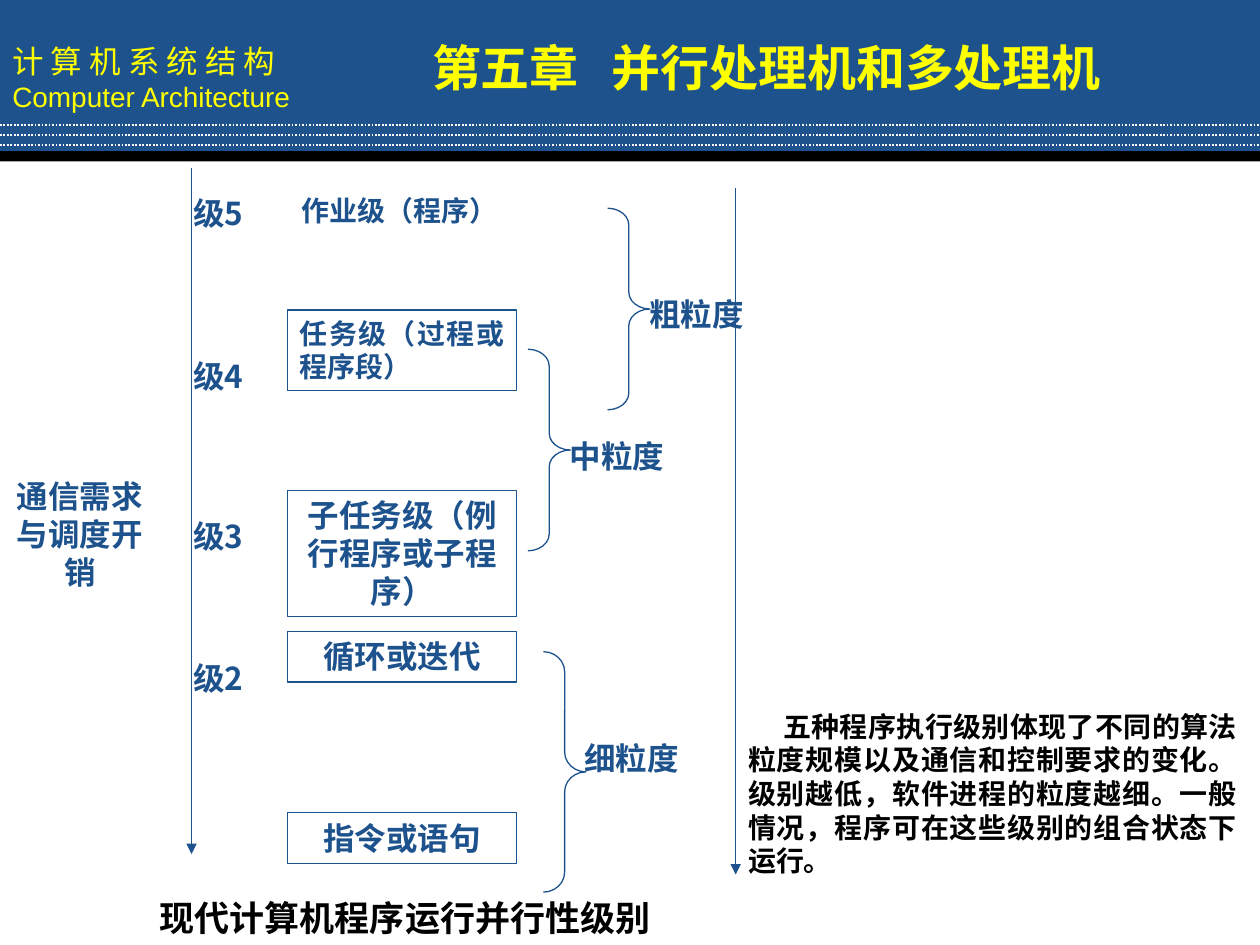
from dataclasses import dataclass

from lxml.etree import SubElement
from pptx import Presentation
from pptx.dml.color import RGBColor as Color
from pptx.enum.dml import MSO_LINE as Dash
from pptx.enum.shapes import MSO_CONNECTOR as Connector, MSO_SHAPE as Shape
from pptx.enum.text import MSO_ANCHOR as Anchor, MSO_AUTO_SIZE as AutoSize, PP_ALIGN as Align
from pptx.oxml.ns import qn
from pptx.util import Pt


@dataclass(frozen=True)
class Theme:
    blue: Color = Color(0x1D, 0x52, 0x8D)
    yellow: Color = Color(0xFF, 0xFF, 0x00)
    white: Color = Color(0xFF, 0xFF, 0xFF)
    black: Color = Color(0, 0, 0)
    cjk: str = "Noto Sans CJK SC"
    latin: str = "Arial"
    title: int = 28
    caption: int = 20
    label: int = 18
    small: int = 16
    thin: float = 0.75
    rule: float = 1


THEME = Theme()


@dataclass(frozen=True)
class Label:
    text: str
    left: float
    top: float
    width: float
    height: float
    size: int = THEME.label
    align: Align = Align.CENTER
    framed: bool = False


@dataclass(frozen=True)
class Brace:
    left: float
    top: float
    height: float


@dataclass(frozen=True)
class Line:
    x1: float
    y1: float
    x2: float
    y2: float


STAGE_LEFT, STAGE_WIDTH = 164.2, 131
LABELS = [
    # Program levels
    Label("作业级（程序）", STAGE_LEFT, 107.3, 128.2, 26.6, THEME.small),
    Label("任务级（过程或程序段）", STAGE_LEFT, 177.1, STAGE_WIDTH, 46, THEME.small, Align.JUSTIFY, True),
    Label("子任务级（例行程序或子程序）", STAGE_LEFT, 280.1, STAGE_WIDTH, 72.3, framed=True),
    Label("循环或迭代", STAGE_LEFT, 360.7, STAGE_WIDTH, 29.1, framed=True),
    Label("指令或语句", STAGE_LEFT, 464.4, STAGE_WIDTH, 29.1, framed=True),
    # Level numbers
    *(Label(f"级{level}", 91.4, top, 67, 29.1)
      for level, top in ((5, 107.3), (4, 200.2), (3, 291.6), (2, 373))),
    # Grain sizes and the cost axis
    Label("粗粒度", 347, 164.9, 102.2, 29.1),
    Label("中粒度", 301.7, 246.2, 101.5, 29.1),
    Label("细粒度", 319.7, 419, 82.1, 29.1),
    Label("通信需求与调度开销", 0, 269.3, 91.4, 72.3),
]
BRACE_WIDTH = 24.3
BRACES = [Brace(347.2, 119, 115.2), Brace(301.7, 199.6, 115.2), Brace(310.5, 372.4, 137.4)]
AXES = [Line(109.5, 96, 109.5, 488), Line(420.4, 107.3, 420.4, 499.7)]


def write_para(para, text: str, *, size: int, color: Color, font: str = THEME.cjk,
               bold: bool = True, align: Align = Align.LEFT,
               indent: float = 0, tab: float = 0) -> None:
    para.alignment = align
    props = para._p.get_or_add_pPr()
    if indent:
        props.set("indent", str(Pt(indent)))
    if tab:
        stops = SubElement(props, qn("a:tabLst"))
        SubElement(stops, qn("a:tab"), pos=str(Pt(tab)), algn="l")
    span = para.add_run()
    span.text = text
    span.font.size = Pt(size)
    span.font.bold = bold
    span.font.name = font
    span.font.color.rgb = color
    SubElement(span.font._element, qn("a:ea"), typeface=font)


def add_text_box(page, left: float, top: float, width: float, height: float,
                 text: str, **text_format):
    box = page.shapes.add_textbox(Pt(left), Pt(top), Pt(width), Pt(height))
    box.text_frame.word_wrap = True
    box.text_frame.auto_size = AutoSize.SHAPE_TO_FIT_TEXT
    write_para(box.text_frame.paragraphs[0], text, **text_format)
    return box


def add_band(page, top: float, height: float, color: Color):
    band = page.shapes.add_shape(Shape.RECTANGLE, 0, Pt(top), Pt(720), Pt(height))
    band.shadow.inherit = False
    band.fill.solid()
    band.fill.fore_color.rgb = color
    band.line.fill.background()
    return band


def add_line(page, line: Line, color: Color, width: float):
    connector = page.shapes.add_connector(
        Connector.STRAIGHT, Pt(line.x1), Pt(line.y1), Pt(line.x2), Pt(line.y2))
    connector.line.color.rgb = color
    connector.line.width = Pt(width)
    SubElement(connector._element.spPr, qn("a:effectLst"))
    return connector


def add_axis(page, line: Line) -> None:
    axis = add_line(page, line, THEME.blue, THEME.thin)
    SubElement(axis.line._get_or_add_ln(), qn("a:tailEnd"), type="triangle")


def add_label(page, label: Label) -> None:
    box = add_text_box(page, label.left, label.top, label.width, label.height, label.text,
                       size=label.size, color=THEME.blue, align=label.align)
    if label.framed:
        box.line.color.rgb = THEME.blue
        box.line.width = Pt(THEME.thin)


def add_brace(page, brace: Brace) -> None:
    shape = page.shapes.add_shape(Shape.RIGHT_BRACE, Pt(brace.left), Pt(brace.top),
                                  Pt(BRACE_WIDTH), Pt(brace.height))
    shape.shadow.inherit = False
    shape.adjustments[0] = brace.height / 12 / BRACE_WIDTH
    shape.fill.background()
    shape.line.color.rgb = THEME.blue
    shape.line.width = Pt(THEME.thin)


def add_header(page) -> None:
    frame = add_band(page, 0, 88.6, THEME.blue).text_frame
    frame.word_wrap = True
    frame.vertical_anchor = Anchor.MIDDLE
    write_para(frame.paragraphs[0], "计 算 机 系 统 结 构",
               size=THEME.label, color=THEME.yellow, bold=False)
    write_para(frame.add_paragraph(), "Computer Architecture",
               size=THEME.small, color=THEME.yellow, font=THEME.latin, bold=False)
    add_band(page, 86.4, 5.8, THEME.black)
    for row in range(3):
        height = 71.3 + 5.75 * row
        rule = add_line(page, Line(0, height, 720, height), THEME.white, THEME.rule)
        rule.line.dash_style = Dash.ROUND_DOT


def main() -> None:
    deck = Presentation()
    deck.slide_width, deck.slide_height = Pt(720), Pt(540)
    page = deck.slides.add_slide(deck.slide_layouts[6])

    add_header(page)

    # Diagram of the levels
    for label in LABELS:
        add_label(page, label)
    for axis in AXES:
        add_axis(page, axis)
    for brace in BRACES:
        add_brace(page, brace)

    # Caption, explanation and chapter title
    add_text_box(page, 84.2, 509, 300.2, 31.7, "现代计算机程序运行并行性级别",
                 size=THEME.caption, color=THEME.black)
    add_text_box(page, 420.4, 401.8, 293.8, 108,
                 "五种程序执行级别体现了不同的算法粒度规模以及通信和控制要求的变化。"
                 "级别越低，软件进程的粒度越细。一般情况，程序可在这些级别的组合状态下运行。",
                 size=THEME.small, color=THEME.black, align=Align.JUSTIFY, indent=20)
    add_text_box(page, 239.8, 18, 462.2, 41, "第五章\t并行处理机和多处理机",
                 size=THEME.title, color=THEME.yellow, tab=102.5)

    deck.save("out.pptx")


if __name__ == "__main__":
    main()
